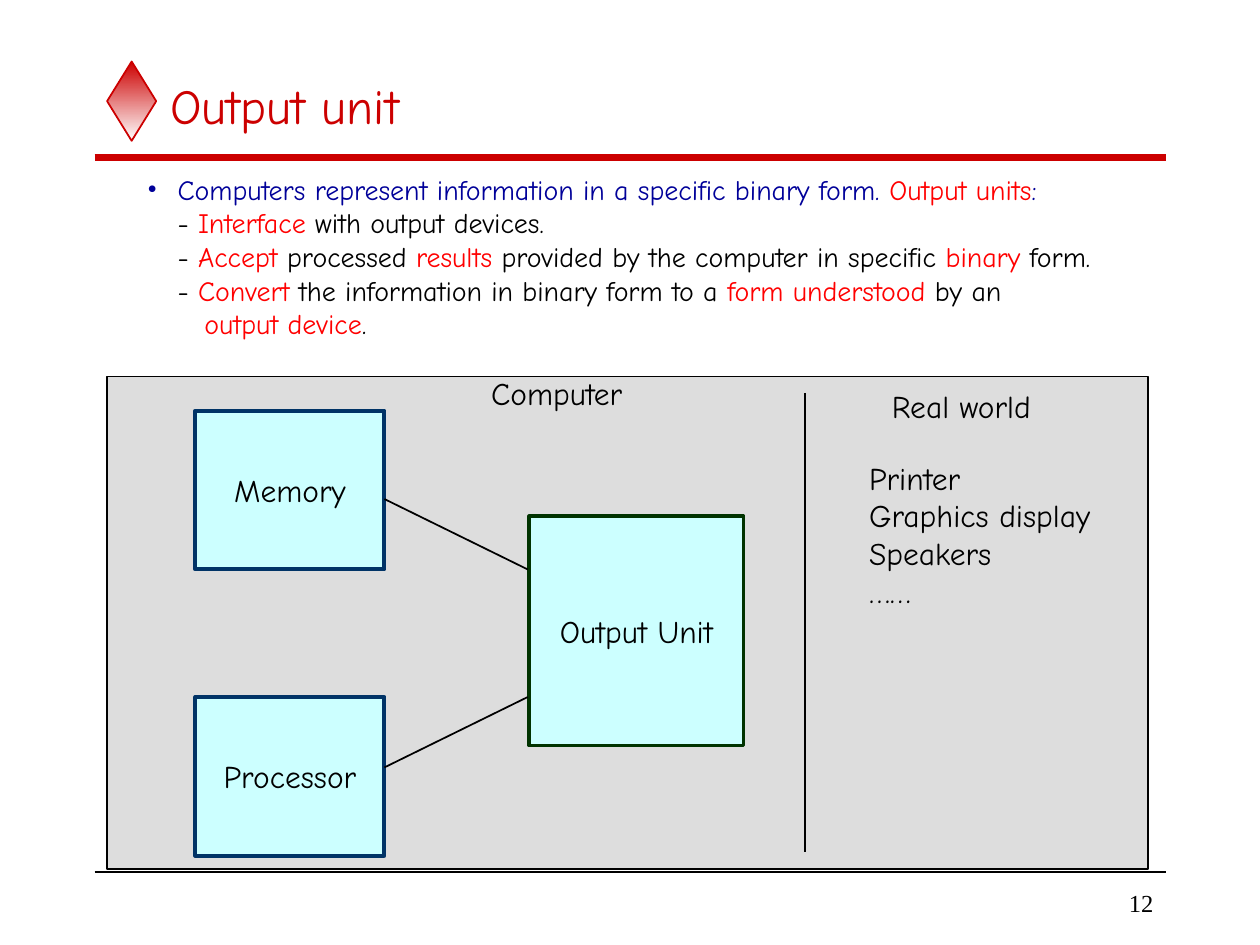
from dataclasses import dataclass

from lxml import etree
from pptx import Presentation
from pptx import util as u
from pptx.dml.color import RGBColor
from pptx.enum import shapes, text
from pptx.oxml import ns

COLORS = {
    "crimson": "CC0000",
    "red": "FF0000",
    "navy": "000099",
    "black": "000000",
    "white": "FFFFFF",
    "gray": "DDDDDD",
    "cyan": "CCFFFF",
    "blue": "003366",
    "green": "003300",
}
HAND = "Comic Neue"
SERIF = "Times New Roman"


@dataclass(frozen=True)
class Frame:
    left: float
    top: float
    width: float
    height: float

    def lengths(self) -> tuple:
        return tuple(u.Cm(v) for v in (self.left, self.top, self.width, self.height))


@dataclass(frozen=True)
class Line:
    runs: tuple
    margin: float = 0
    bullet: str = ""


@dataclass(frozen=True)
class TextBlock:
    frame: Frame
    lines: tuple
    size: int = 18
    font: str = HAND
    align: text.PP_ALIGN = text.PP_ALIGN.LEFT
    anchor: text.MSO_ANCHOR = text.MSO_ANCHOR.TOP


@dataclass(frozen=True)
class Box:
    frame: Frame
    fill: str
    border: str
    weight: float
    label: str = ""


@dataclass(frozen=True)
class Stroke:
    start: tuple
    end: tuple
    color: str = "black"
    weight: float = 1


def rgb(name: str) -> RGBColor:
    return RGBColor.from_string(COLORS[name])


def plain(content: str, color: str = "black") -> Line:
    return Line(((content, color),))


def add_bullet(paragraph, line: Line) -> None:
    properties = paragraph._p.get_or_add_pPr()
    properties.set("marL", str(u.Cm(line.margin)))
    properties.set("indent", str(-u.Cm(line.margin) if line.bullet else 0))
    if line.bullet:
        bullet_color = etree.SubElement(properties, ns.qn("a:buClr"))
        etree.SubElement(bullet_color, ns.qn("a:srgbClr"), val=COLORS[line.runs[0][1]])
        etree.SubElement(properties, ns.qn("a:buFont"), typeface=SERIF)
        etree.SubElement(properties, ns.qn("a:buChar"), char=line.bullet)


def write_lines(text_frame, lines: tuple, size: int, font: str, align) -> None:
    for index, line in enumerate(lines):
        paragraph = text_frame.add_paragraph() if index else text_frame.paragraphs[0]
        paragraph.alignment = align
        if line.margin:
            add_bullet(paragraph, line)
        for content, color in line.runs:
            run = paragraph.add_run()
            run.text = content
            run.font.size = u.Pt(size)
            run.font.name = font
            run.font.color.rgb = rgb(color)


def draw_text(slide, block: TextBlock) -> None:
    text_frame = slide.shapes.add_textbox(*block.frame.lengths()).text_frame
    text_frame.word_wrap = True
    text_frame.vertical_anchor = block.anchor
    write_lines(text_frame, block.lines, block.size, block.font, block.align)


def draw_box(slide, box: Box) -> None:
    shape = slide.shapes.add_shape(shapes.MSO_SHAPE.RECTANGLE, *box.frame.lengths())
    shape.shadow.inherit = False
    shape.fill.solid()
    shape.fill.fore_color.rgb = rgb(box.fill)
    shape.line.color.rgb = rgb(box.border)
    shape.line.width = u.Pt(box.weight)
    if box.label:
        shape.text_frame.vertical_anchor = text.MSO_ANCHOR.MIDDLE
        write_lines(shape.text_frame, (plain(box.label),), 18, HAND, text.PP_ALIGN.CENTER)


def draw_stroke(slide, stroke: Stroke) -> None:
    points = (u.Cm(v) for v in (*stroke.start, *stroke.end))
    connector = slide.shapes.add_connector(shapes.MSO_CONNECTOR.STRAIGHT, *points)
    connector.line.color.rgb = rgb(stroke.color)
    connector.line.width = u.Pt(stroke.weight)
    etree.SubElement(connector._element.spPr, ns.qn("a:effectLst"))


def draw_diamond(slide, frame: Frame) -> None:
    shape = slide.shapes.add_shape(shapes.MSO_SHAPE.DIAMOND, *frame.lengths())
    shape.shadow.inherit = False
    shape.fill.gradient()
    shape.fill.gradient_angle = 270
    for stop, color in zip(shape.fill.gradient_stops, ("crimson", "white")):
        stop.color.rgb = rgb(color)
    shape.line.color.rgb = rgb("crimson")
    shape.line.width = u.Pt(1)


MARGIN = 0.61
BODY = (
    Line((("Computers represent information in a specific binary form. ", "navy"),
          ("Output units", "red"), (":", "navy")), MARGIN, "•"),
    Line((("- ", "black"), ("Interface", "red"), (" with output devices.", "black")), MARGIN),
    Line((("- ", "black"), ("Accept", "red"), (" processed ", "black"), ("results", "red"),
          (" provided by the computer in specific ", "black"), ("binary", "red"),
          (" form.", "black")), MARGIN),
    Line((("- ", "black"), ("Convert", "red"),
          (" the information in binary form to a ", "black"),
          ("form understood", "red"), (" by an", "black")), MARGIN),
    Line((("output device", "red"), (".", "black")), 1.15),
)
DEVICES = ("Printer", "Graphics display", "Speakers", "……")

BOXES = (
    Box(Frame(2.16, 7.59, 20.98, 9.93), "gray", "black", 1),
    Box(Frame(10.67, 10.41, 4.32, 4.62), "cyan", "green", 2.25, "Output Unit"),
    Box(Frame(3.94, 14.05, 3.81, 3.2), "cyan", "blue", 2.25, "Processor"),
    Box(Frame(3.94, 8.28, 3.81, 3.2), "cyan", "blue", 2.25, "Memory"),
)
STROKES = (
    Stroke((1.91, 3.18), (23.5, 3.18), "crimson", 4),
    Stroke((1.91, 17.58), (23.5, 17.58)),
    Stroke((10.64, 11.48), (7.75, 10.06)),
    Stroke((10.64, 14.05), (7.75, 15.47)),
    Stroke((16.23, 7.92), (16.23, 17.17)),
)
TEXTS = (
    TextBlock(Frame(3.18, 1.27, 20.32, 1.7), (plain("Output unit", "crimson"),), 28,
              anchor=text.MSO_ANCHOR.MIDDLE),
    TextBlock(Frame(2.72, 3.35, 19.7, 3.66), BODY, 16),
    TextBlock(Frame(9.65, 7.42, 3.3, 1.02), (plain("Computer"),)),
    TextBlock(Frame(17.73, 7.67, 3.43, 1.02), (plain("Real world"),)),
    TextBlock(Frame(17.27, 9.12, 5.1, 3.3), tuple(plain(device) for device in DEVICES)),
    TextBlock(Frame(19.89, 17.78, 3.61, 0.84), (plain("12"),), 14, SERIF,
              text.PP_ALIGN.RIGHT, text.MSO_ANCHOR.MIDDLE),
)


def main() -> None:
    presentation = Presentation()
    presentation.slide_width = u.Cm(25.4)
    presentation.slide_height = u.Cm(19.05)
    slide = presentation.slides.add_slide(presentation.slide_layouts[6])
    draw_diamond(slide, Frame(2.16, 1.24, 0.99, 1.6))
    for box in BOXES:
        draw_box(slide, box)
    for stroke in STROKES:
        draw_stroke(slide, stroke)
    for block in TEXTS:
        draw_text(slide, block)
    presentation.save("out.pptx")


if __name__ == "__main__":
    main()
